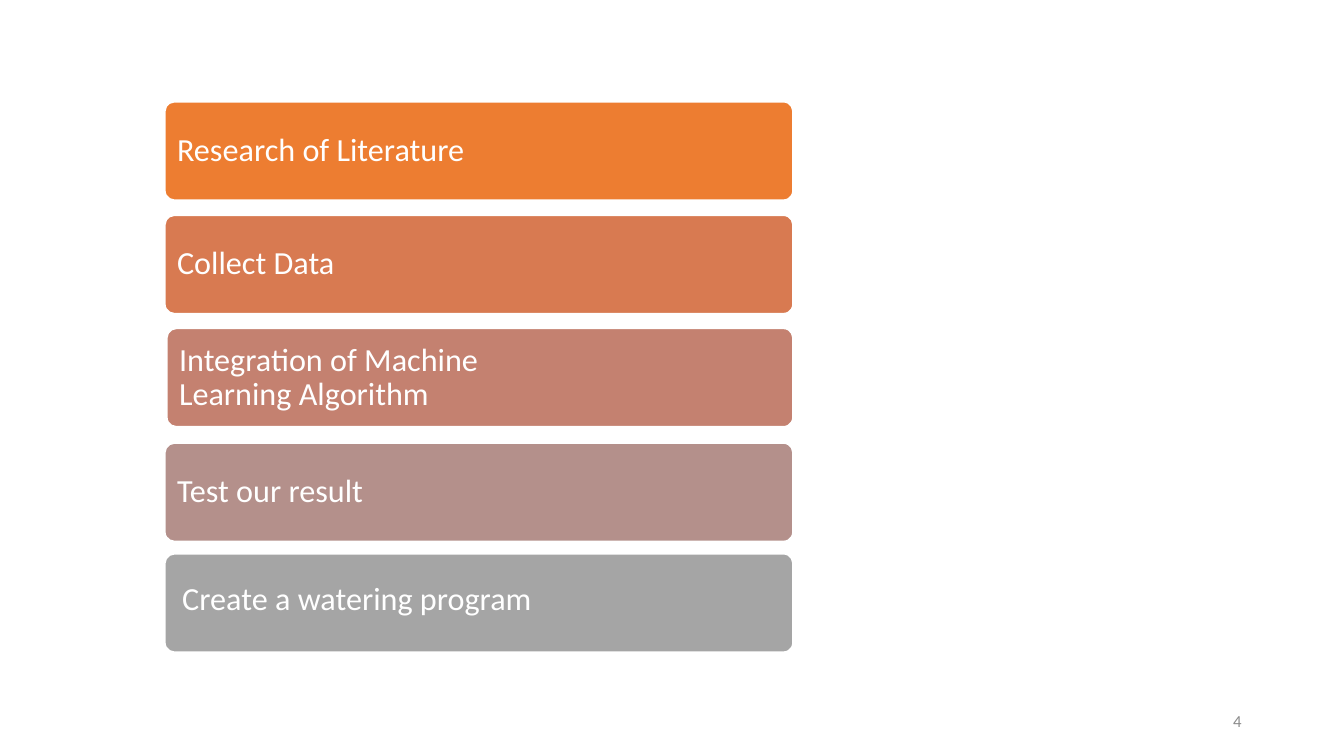
from pptx import Presentation
from pptx.dml.color import RGBColor
from pptx.enum.shapes import MSO_SHAPE
from pptx.enum.text import MSO_ANCHOR, PP_ALIGN
from pptx.util import Cm, Pt

BAR_RIGHT = 20
BAR_HEIGHT = 2.51
STEPS = [
    {"text": "Research of Literature", "top": 2.55, "color": "ED7D31"},
    {"text": "Collect Data", "top": 5.41, "color": "D87A51"},
    {"text": "Integration of Machine Learning Algorithm", "top": 8.26,
     "color": "C48170", "left": 4.19, "right_inset": 5.5, "bottom_inset": 0.22},
    {"text": "Test our result", "top": 11.15, "color": "B4908B"},
    {"text": "Create a watering program", "top": 13.94, "color": "A5A5A5",
     "left_inset": 0.38, "bottom_inset": 0.4},
]


def rgb(color):
    """Turn a hex string into a colour."""
    return RGBColor.from_string(color)


def write_text(shape, text, *, size, color, align=PP_ALIGN.LEFT,
               line_spacing=1.0, space_after=0, insets=(0.25, 0.13, 0.25, 0.13)):
    """Write one formatted, vertically centred paragraph into a shape."""
    frame = shape.text_frame
    frame.word_wrap = True
    frame.vertical_anchor = MSO_ANCHOR.MIDDLE
    left, top, right, bottom = map(Cm, insets)
    frame.margin_left, frame.margin_top = left, top
    frame.margin_right, frame.margin_bottom = right, bottom
    paragraph = frame.paragraphs[0]
    paragraph.alignment = align
    paragraph.line_spacing = line_spacing
    paragraph.space_after = Pt(space_after)
    run = paragraph.add_run()
    run.text = text
    run.font.name = "Calibri"
    run.font.size = Pt(size)
    run.font.color.rgb = rgb(color)


def add_step(slide, text, top, color, left=4.14, left_inset=0.25,
             right_inset=0.25, bottom_inset=0.25):
    """Add one rounded bar with its step label."""
    bar = slide.shapes.add_shape(
        MSO_SHAPE.ROUNDED_RECTANGLE,
        Cm(left), Cm(top), Cm(BAR_RIGHT - left), Cm(BAR_HEIGHT))
    bar.adjustments[0] = 0.1
    bar.shadow.inherit = False
    bar.fill.solid()
    bar.fill.fore_color.rgb = rgb(color)
    bar.line.color.rgb = rgb("FFFFFF")
    bar.line.width = Pt(2)
    write_text(bar, text, size=23, color="FFFFFF", line_spacing=0.9,
               space_after=8.1,
               insets=(left_inset, 0.25, right_inset, bottom_inset))


def add_page_number(slide, number):
    """Add the page number at the bottom right."""
    box = slide.shapes.add_textbox(Cm(23.92), Cm(17.66), Cm(7.62), Cm(1.01))
    write_text(box, number, size=12, color="8B8B8B", align=PP_ALIGN.RIGHT)


def main():
    """Build and save the slide."""
    presentation = Presentation()
    presentation.slide_width = Cm(33.87)
    presentation.slide_height = Cm(19.05)
    slide = presentation.slides.add_slide(presentation.slide_layouts[6])
    for step in STEPS:
        add_step(slide, **step)
    add_page_number(slide, "4")
    presentation.save("out.pptx")


if __name__ == "__main__":
    main()
